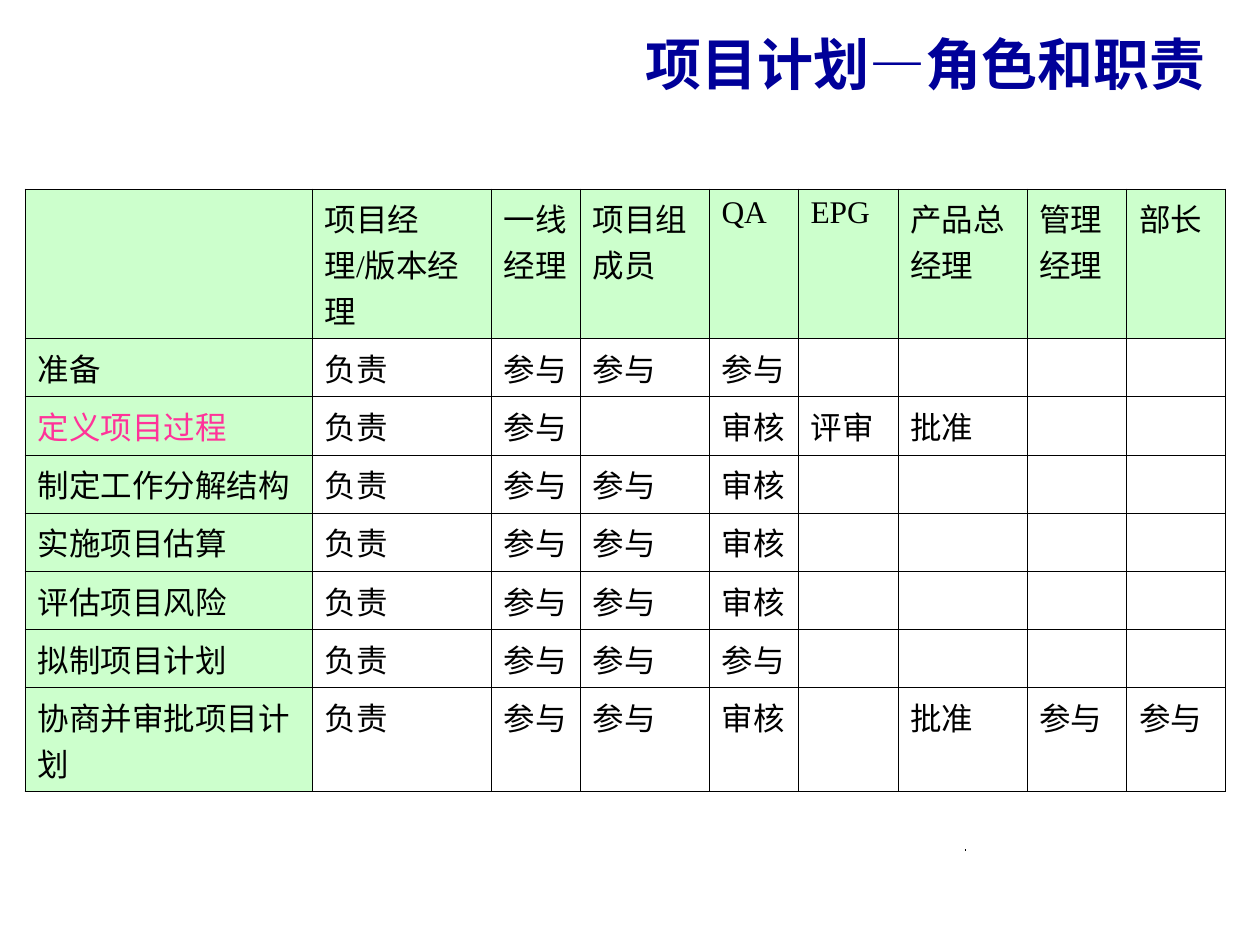
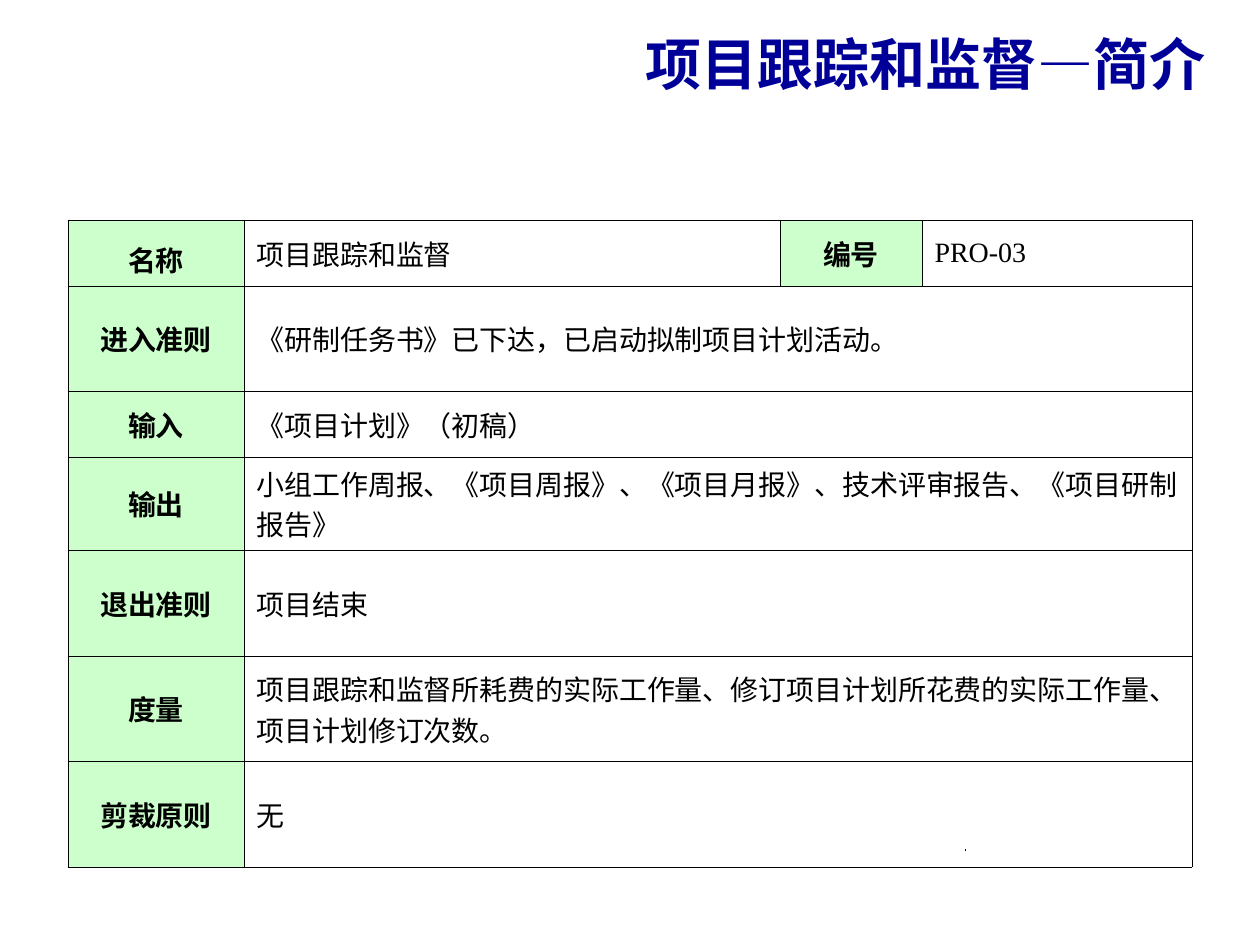
from lxml.etree import SubElement
from pptx import Presentation
from pptx.dml.color import RGBColor
from pptx.enum.shapes import MSO_CONNECTOR
from pptx.enum.text import MSO_ANCHOR, MSO_AUTO_SIZE, PP_ALIGN
from pptx.oxml.ns import qn
from pptx.util import Emu, Pt

# Shared look
FONT = "Times New Roman"
NAVY, BLACK, PINK, GREEN = "000099", "000000", "FF3399", "CCFFCC"
TITLE_BOX = (284, 32, 935, 63)
DOT = (965, 850)
BORDER = Pt(0.45)

# Roles and duties: one row per task
ROLES = {
    "title": "项目计划—角色和职责",
    "at": (25, 189),
    "cols": [287, 179, 89, 129, 89, 100, 129, 100, 99],
    "rows": [126] + [50] * 6 + [88],
    "size": 18,
    "cells": [
        ["", "项目经理/版本经理", "一线经理", "项目组成员", "QA", "EPG",
         "产品总经理", "管理经理", "部长"],
        ["准备", "负责", "参与", "参与", "参与"],
        ["定义项目过程", "负责", "参与", "", "审核", "评审", "批准"],
        ["制定工作分解结构", "负责", "参与", "参与", "审核"],
        ["实施项目估算", "负责", "参与", "参与", "审核"],
        ["评估项目风险", "负责", "参与", "参与", "审核"],
        ["拟制项目计划", "负责", "参与", "参与", "参与"],
        ["协商并审批项目计划", "负责", "参与", "参与", "审核", "",
         "批准", "参与", "参与"],
    ],
}
HOT = "定义项目过程"

# Process summary: label and value pairs
BRIEF = {
    "title": "项目跟踪和监督—简介",
    "at": (68, 220),
    "cols": [176, 536, 142, 270],
    "rows": [66, 105, 66, 81, 106, 105, 106],
    "size": 16,
    "cells": [
        ["名称", "项目跟踪和监督", "编号", "PRO-03"],
        ["进入准则", "《研制任务书》已下达，已启动拟制项目计划活动。"],
        ["输入", "《项目计划》（初稿）"],
        ["输出", "小组工作周报、《项目周报》、《项目月报》、技术评审报告、"
                 "《项目研制报告》"],
        ["退出准则", "项目结束"],
        ["度量", "项目跟踪和监督所耗费的实际工作量、修订项目计划所花费的"
                 "实际工作量、项目计划修订次数。"],
        ["剪裁原则", "无"],
    ],
}


def px(n):
    return Emu(round(n * 914400 / 126))


def rgb(code):
    return RGBColor.from_string(code)


def style(frame, size, color, bold=False, align=PP_ALIGN.LEFT):
    for para in frame.paragraphs:
        para.alignment = align
        for run in para.runs:
            font = run.font
            font.name, font.size, font.bold = FONT, Pt(size), bold
            font.color.rgb = rgb(color)


def edge(cell):
    props = cell._tc.get_or_add_tcPr()
    for side in ("lnL", "lnR", "lnT", "lnB"):
        line = SubElement(props, qn("a:" + side), w=str(BORDER))
        fill = SubElement(line, qn("a:solidFill"))
        SubElement(fill, qn("a:srgbClr"), val=BLACK)


def paint(cell, head):
    edge(cell)
    if head:
        cell.fill.solid()
        cell.fill.fore_color.rgb = rgb(GREEN)
    else:
        cell.fill.background()


def start(deck, text):
    """Add a slide with its title and the footer dot."""
    slide = deck.slides.add_slide(deck.slide_layouts[5])
    title = slide.shapes.title
    title.left, title.top, title.width, title.height = map(px, TITLE_BOX)
    frame = title.text_frame
    frame.text = text
    frame.auto_size = MSO_AUTO_SIZE.NONE
    frame.vertical_anchor = MSO_ANCHOR.MIDDLE
    style(frame, 32, NAVY, True, PP_ALIGN.RIGHT)

    x, y = DOT
    dot = slide.shapes.add_connector(
        MSO_CONNECTOR.STRAIGHT, px(x), px(y), px(x + 1), px(y))
    dot.line.color.rgb = rgb(BLACK)
    dot.line.width = Pt(1)
    SubElement(dot._element.spPr, qn("a:effectLst"))
    return slide


def fill_grid(slide, data):
    """Add a bordered table; short rows leave the last cells empty."""
    cols, rows = data["cols"], data["rows"]
    box = (*data["at"], sum(cols), sum(rows))
    grid = slide.shapes.add_table(len(rows), len(cols), *map(px, box)).table
    grid.first_row = grid.horz_banding = False
    for col, wide in zip(grid.columns, cols):
        col.width = px(wide)
    for row, high, texts in zip(grid.rows, rows, data["cells"]):
        row.height = px(high)
        for cell, text in zip(row.cells, texts):
            if text:
                cell.text_frame.text = text
    return grid


def add_roles(deck):
    grid = fill_grid(start(deck, ROLES["title"]), ROLES)
    for r, row in enumerate(grid.rows):
        for c, cell in enumerate(row.cells):
            paint(cell, r == 0 or c == 0)
            color = PINK if cell.text_frame.text == HOT else BLACK
            style(cell.text_frame, ROLES["size"], color)


def add_brief(deck):
    grid = fill_grid(start(deck, BRIEF["title"]), BRIEF)
    for r, row in enumerate(grid.rows):
        for c, cell in enumerate(row.cells):
            head = c == 0 or (r == 0 and c == 2)
            paint(cell, head)
            cell.vertical_anchor = MSO_ANCHOR.MIDDLE
            style(cell.text_frame, BRIEF["size"], BLACK, head,
                  PP_ALIGN.CENTER if head else PP_ALIGN.LEFT)
        if r:
            grid.cell(r, 1).merge(grid.cell(r, 3))
    grid.cell(0, 0).vertical_anchor = MSO_ANCHOR.BOTTOM


def main():
    deck = Presentation()
    deck.slide_width, deck.slide_height = px(1260), px(945)
    add_roles(deck)
    add_brief(deck)
    deck.save("out.pptx")


if __name__ == "__main__":
    main()
